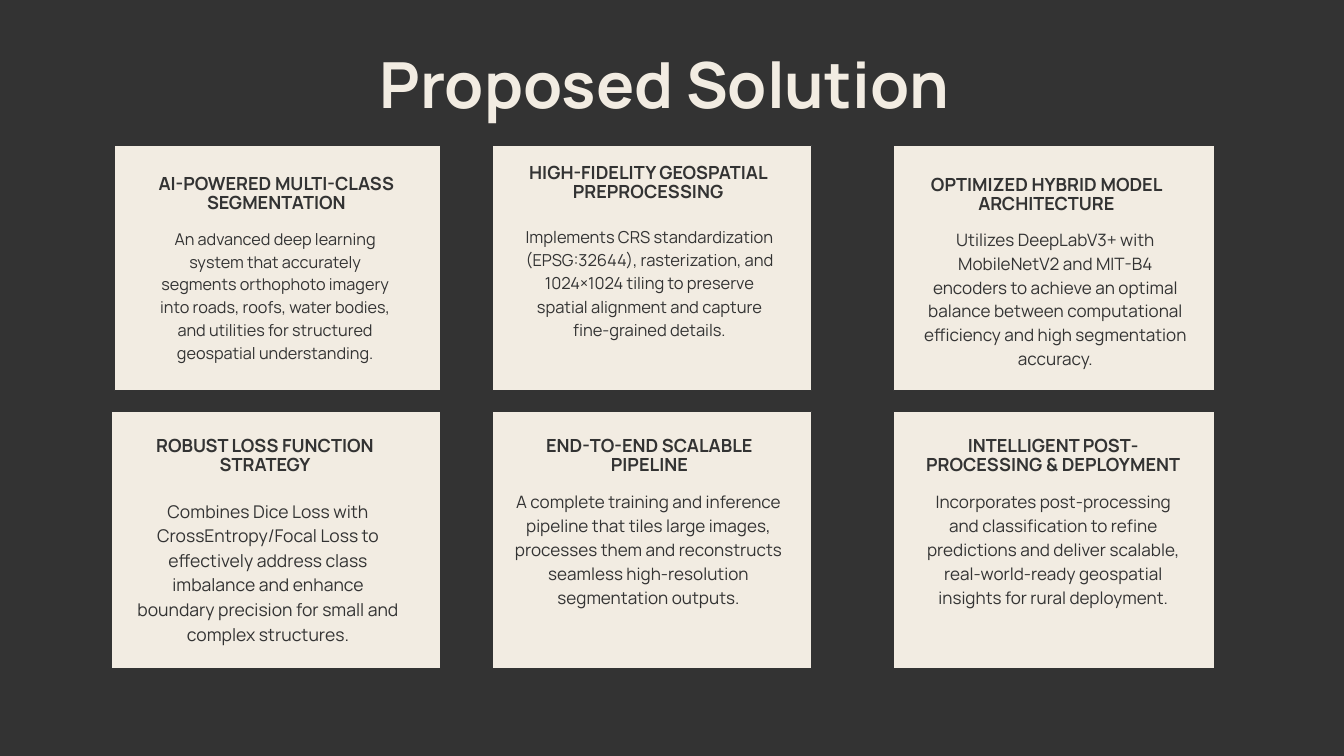
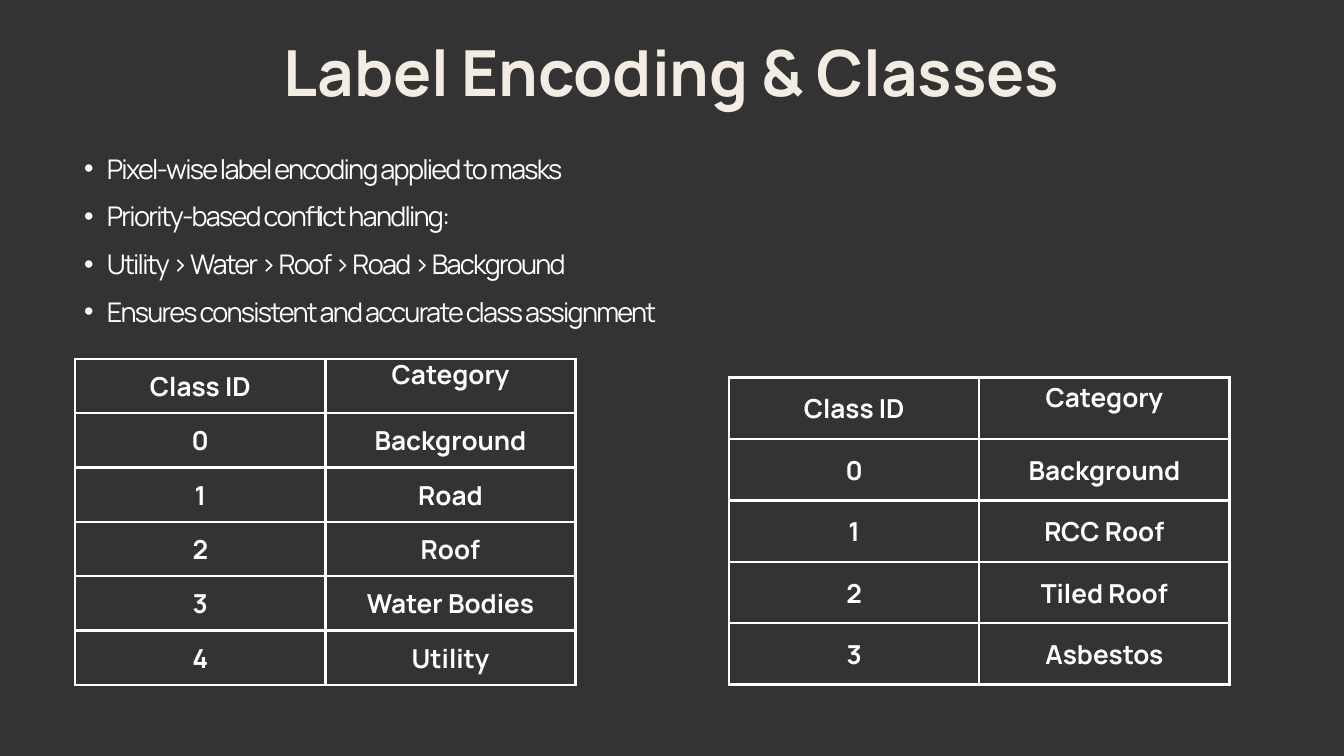
"""Builds two dark slides: a grid of solution cards and the label class tables."""
import lxml.etree
import pptx
import pptx.dml.color
import pptx.enum.shapes
import pptx.enum.text
import pptx.oxml.ns
import pptx.util

Pt = pptx.util.Pt
ALIGN = pptx.enum.text.PP_ALIGN
ANCHOR = pptx.enum.text.MSO_ANCHOR
DARK, CREAM, WHITE = "333333", "F2ECE2", "FFFFFF"
TITLE_ONLY, TITLE_AND_BODY = 5, 1

COLUMNS = [(122.4, 349), (527.8, 342), (956.9, 344)]
ROWS = [(155.5, 262.8), (440.6, 275)]
CARDS = [
    [
        ("AI-POWERED MULTI-CLASS SEGMENTATION", (146.2, 186.5, 300),
         "An advanced deep learning system that accurately segments orthophoto imagery into roads, "
         "roofs, water bodies, and utilities for structured geospatial understanding.",
         (161.3, 241.9, 267), 17.4),
        ("HIGH-FIDELITY GEOSPATIAL PREPROCESSING", (560.2, 175, 268.6),
         "Implements CRS standardization (EPSG:32644), rasterization, and 1024×1024 tiling to "
         "preserve spatial alignment and capture fine-grained details.",
         (560.2, 239.8, 271.4), 17.7),
        ("OPTIMIZED HYBRID MODEL ARCHITECTURE", (971.3, 187.9, 300),
         "Utilizes DeepLabV3+ with MobileNetV2 and MIT-B4 encoders to achieve an optimal balance "
         "between computational efficiency and high segmentation accuracy.",
         (990, 241.9, 281.5), 18.3),
    ],
    [
        ("ROBUST LOSS FUNCTION STRATEGY", (154.1, 467.3, 260),
         "Combines Dice Loss with CrossEntropy/Focal Loss to effectively address class imbalance "
         "and enhance boundary precision for small and complex structures.",
         (143.3, 532.8, 288), 18.8),
        ("END-TO-END SCALABLE PIPELINE", (551.5, 467.3, 288.7),
         "A complete training and inference pipeline that tiles large images, processes them and "
         "reconstructs seamless high-resolution segmentation outputs.",
         (551.5, 523.4, 286.6), 18.3),
        ("INTELLIGENT POST-PROCESSING & DEPLOYMENT", (987.8, 467.3, 281.5),
         "Incorporates post-processing and classification to refine predictions and deliver "
         "scalable, real-world-ready geospatial insights for rural deployment.",
         (987.8, 523.4, 281.5), 18.3),
    ],
]
ENCODING_POINTS = [
    "Pixel-wise label encoding applied to masks",
    "Priority-based conflict handling:",
    "Utility > Water > Roof > Road > Background",
    "Ensures consistent and accurate class assignment",
]
LAND_CLASSES = ["Background", "Road", "Roof", "Water Bodies", "Utility"]
ROOF_CLASSES = ["Background", "RCC Roof", "Tiled Roof", "Asbestos"]


def rgb(value):
    return pptx.dml.color.RGBColor.from_string(value)


def add_xml(parent, tag, **attributes):
    return lxml.etree.SubElement(parent, pptx.oxml.ns.qn(f"a:{tag}"), **attributes)


class Deck:
    """Holds the presentation, its style and the slide being built."""

    font = "Manrope"

    def __init__(self):
        self.prs = pptx.Presentation()
        self.prs.slide_width, self.prs.slide_height = Pt(1440), Pt(810)
        self.slide = None

    def new_slide(self, layout):
        self.slide = self.prs.slides.add_slide(self.prs.slide_layouts[layout])
        self.slide.background.fill.solid()
        self.slide.background.fill.fore_color.rgb = rgb(DARK)

    def place(self, holder, left, top, width, height):
        holder.left, holder.top = Pt(left), Pt(top)
        holder.width, holder.height = Pt(width), Pt(height)
        frame = holder.text_frame
        frame.margin_left = frame.margin_right = frame.margin_top = frame.margin_bottom = 0
        frame.word_wrap = True
        frame.auto_size = pptx.enum.text.MSO_AUTO_SIZE.NONE
        frame.vertical_anchor = ANCHOR.TOP
        return frame

    def add_text(self, paragraph, text, size, color, spacing, bold=False, align=ALIGN.CENTER):
        paragraph.alignment = align
        paragraph.line_spacing = Pt(spacing)
        paragraph.space_before = Pt(0)
        run = paragraph.add_run()
        run.text = text
        run.font.name, run.font.size, run.font.bold = self.font, Pt(size), bold
        run.font.color.rgb = rgb(color)
        return run

    def title(self, text, left, top, width, align=ALIGN.CENTER):
        frame = self.place(self.slide.shapes.title, left, top, width, 78)
        self.add_text(frame.paragraphs[0], text, 68.1, CREAM, 69.5, True, align)

    def label(self, text, spot, height, size, spacing, bold=False):
        box = self.slide.shapes.add_textbox(0, 0, 0, 0)
        frame = self.place(box, *spot, height)
        self.add_text(frame.paragraphs[0], text, size, DARK, spacing, bold)

    def card(self, left, top, width, height):
        panel = self.slide.shapes.add_shape(
            pptx.enum.shapes.MSO_SHAPE.RECTANGLE, Pt(left), Pt(top), Pt(width), Pt(height))
        panel.shadow.inherit = False
        panel.fill.solid()
        panel.fill.fore_color.rgb = rgb(CREAM)
        panel.line.color.rgb = rgb(DARK)
        panel.line.width = Pt(0.75)

    def bullets(self, points, left, top, width, height):
        frame = self.place(self.slide.placeholders[1], left, top, width, height)
        for index, point in enumerate(points):
            paragraph = frame.add_paragraph() if index else frame.paragraphs[0]
            paragraph.level = 1
            properties = paragraph._p.get_or_add_pPr()
            properties.set("marL", str(Pt(49)))
            properties.set("indent", str(-Pt(24.5)))
            add_xml(properties, "buFont", typeface="Arial")
            add_xml(properties, "buChar", char="•")
            run = self.add_text(paragraph, point, 29, WHITE, 51, align=ALIGN.LEFT)
            run._r.get_or_add_rPr().set("spc", "-190")

    def class_table(self, categories, left, top, row_height, margin):
        records = [("Class ID", "Category")]
        records += [(str(number), name) for number, name in enumerate(categories)]
        table = self.slide.shapes.add_table(
            len(records), 2, Pt(left), Pt(top), Pt(536), Pt(row_height * len(records))).table
        table.first_row = table.horz_banding = False
        for row, record in enumerate(records):
            table.rows[row].height = Pt(row_height)
            for column, text in enumerate(record):
                cell = table.cell(row, column)
                self.border(cell)
                cell.fill.background()
                cell.vertical_anchor = ANCHOR.MIDDLE
                cell.margin_left = cell.margin_right = Pt(margin)
                cell.margin_top = cell.margin_bottom = Pt(margin)
                spacing = 14 if text == "Category" else 39.2
                self.add_text(cell.text_frame.paragraphs[0], text, 28, WHITE, spacing, True)

    def border(self, cell):
        properties = cell._tc.get_or_add_tcPr()
        for side in "LRTB":
            edge = add_xml(properties, f"ln{side}", w=str(Pt(3)))
            add_xml(add_xml(edge, "solidFill"), "srgbClr", val=WHITE)


def build_solution(deck):
    deck.new_slide(TITLE_ONLY)
    deck.title("Proposed Solution", 406.8, 60.5, 1000, ALIGN.LEFT)
    for (top, height), cards in zip(ROWS, CARDS):
        for (left, width), (heading, heading_spot, body, body_spot, size) in zip(COLUMNS, cards):
            overhang = 3 if (left, top) == (COLUMNS[0][0], ROWS[1][0]) else 0
            deck.card(left - overhang, top, width + overhang, height)
            deck.label(heading, heading_spot, 44.6, 19.4, 21, True)
            deck.label(body, body_spot, 150, size, round(size * 1.4, 1))


def build_classes(deck):
    deck.new_slide(TITLE_AND_BODY)
    deck.title("Label Encoding & Classes", 113, 47.5, 1213)
    deck.class_table(LAND_CLASSES, 80.6, 384.5, 58.2, 0)
    deck.class_table(ROOF_CLASSES, 781.2, 404.6, 65.8, 3.6)
    deck.bullets(ENCODING_POINTS, 65.5, 146.9, 1252, 204)


def main():
    deck = Deck()
    build_solution(deck)
    build_classes(deck)
    deck.prs.save("out.pptx")


if __name__ == "__main__":
    main()
